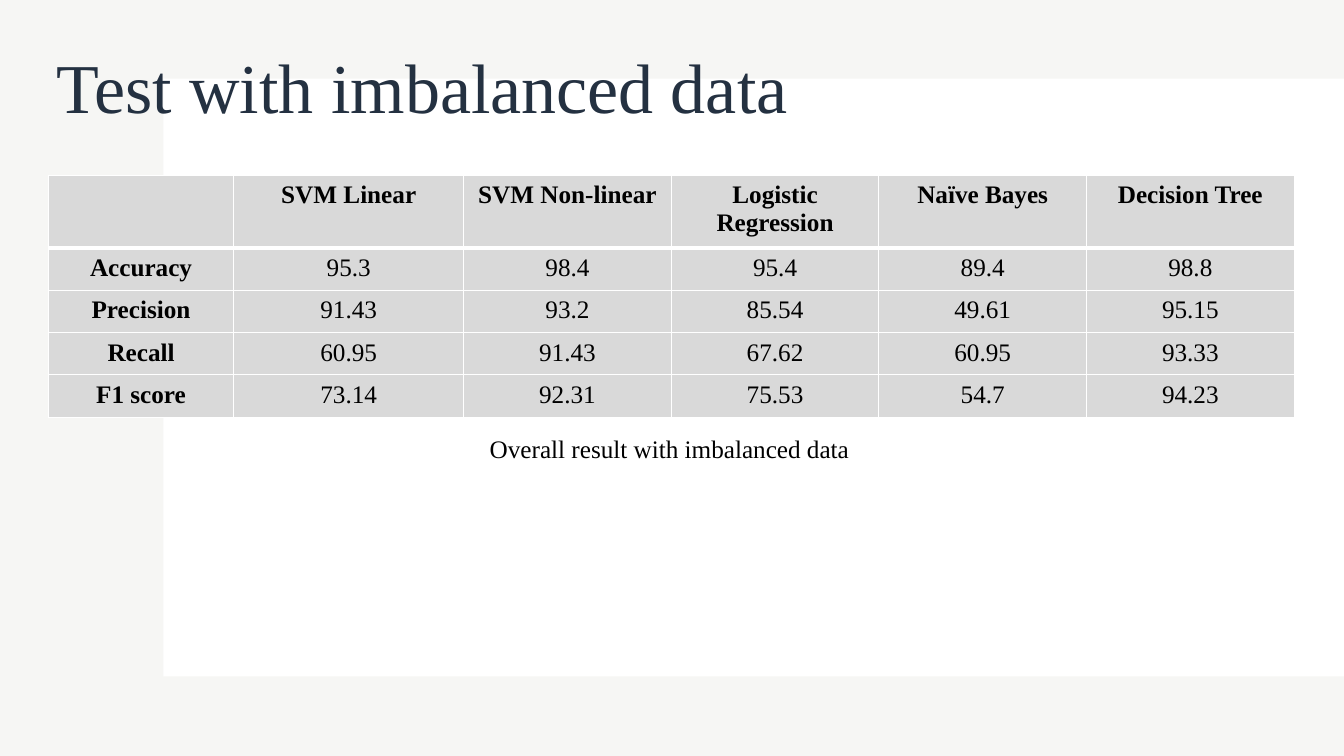
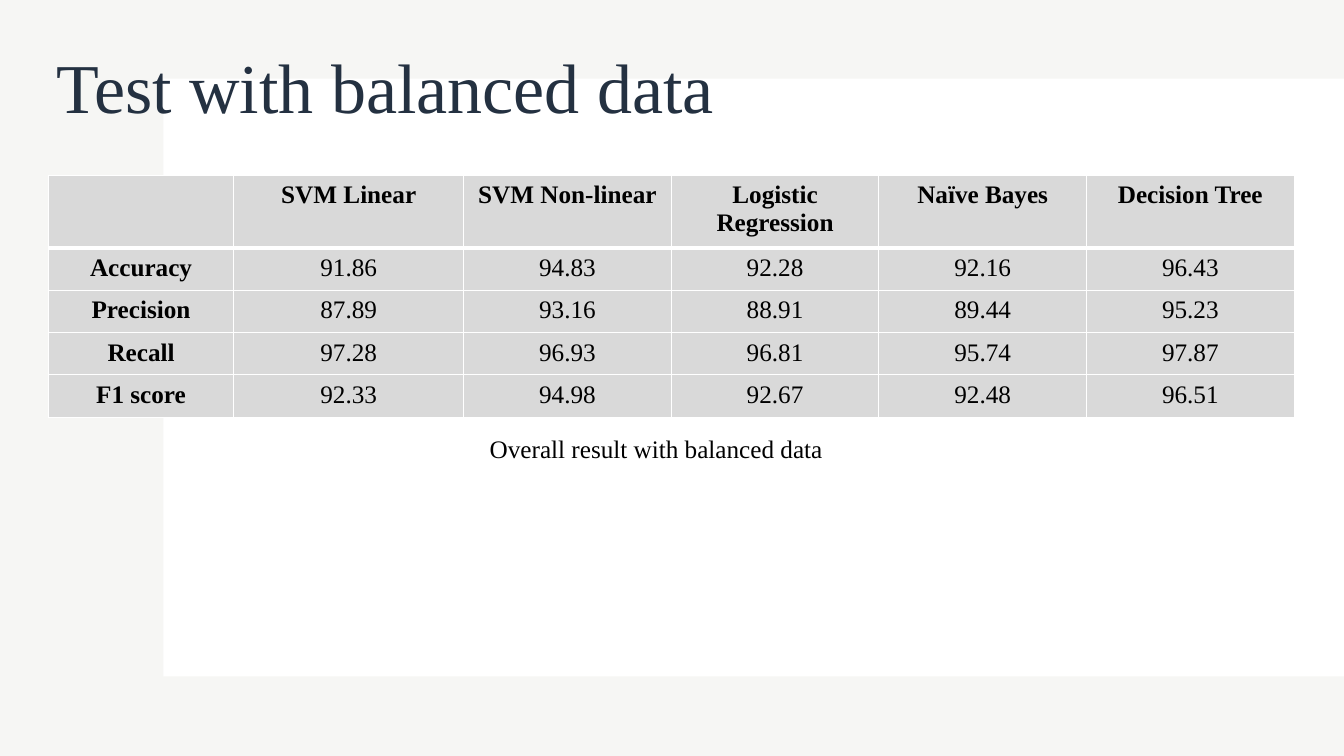
from dataclasses import dataclass

from lxml.etree import SubElement
from pptx import Presentation
from pptx.dml.color import RGBColor
from pptx.enum.shapes import MSO_SHAPE
from pptx.enum.text import MSO_ANCHOR, MSO_AUTO_SIZE, PP_ALIGN
from pptx.oxml.ns import qn
from pptx.shapes.autoshape import Shape
from pptx.slide import Slide, SlideLayout
from pptx.table import _Cell as Cell
from pptx.text.text import _Paragraph as Paragraph
from pptx.util import Pt

FONT = "Times New Roman"
WHITE = "FFFFFF"
BLACK = "000000"
TINT = "E6E8E2"
NAVY = "243141"
GRAY = "D9D9D9"

SLIDE_WIDTH, SLIDE_HEIGHT = 960, 540
COLUMN_WIDTHS = [132.48, 164.16] + [148.32] * 4
ROW_HEIGHTS = [51.84] + [30.24] * 4
MODELS = ["SVM Linear", "SVM Non-linear", "Logistic Regression", "Naïve Bayes", "Decision Tree"]
METRICS = ["Accuracy", "Precision", "Recall", "F1 score"]
THIN, THICK = 1, 3


@dataclass(frozen=True)
class Box:
    left: float
    top: float
    width: float
    height: float

    def lengths(self) -> tuple[Pt, Pt, Pt, Pt]:
        return Pt(self.left), Pt(self.top), Pt(self.width), Pt(self.height)


@dataclass(frozen=True)
class Panel:
    box: Box
    fill: str
    opacity: int


@dataclass(frozen=True)
class ResultSlide:
    title: str
    caption: str
    scores: list[list[str]]


TITLE_BOX = Box(33.12, 12.96, 830.16, 104.4)
TABLE_BOX = Box(34.56, 125.28, sum(COLUMN_WIDTHS), sum(ROW_HEIGHTS))
CAPTION_BOX = Box(342.72, 306, 274.32, 28.8)

PANELS = [
    Panel(Box(0, 0, SLIDE_WIDTH, SLIDE_HEIGHT), TINT, 35),
    Panel(Box(116.64, 56.16, 843.36, 426.96), WHITE, 100),
]

RESULTS = [
    ResultSlide(
        "Test with imbalanced data",
        "Overall result with imbalanced data",
        [
            ["95.3", "98.4", "95.4", "89.4", "98.8"],
            ["91.43", "93.2", "85.54", "49.61", "95.15"],
            ["60.95", "91.43", "67.62", "60.95", "93.33"],
            ["73.14", "92.31", "75.53", "54.7", "94.23"],
        ],
    ),
    ResultSlide(
        "Test with balanced data",
        "Overall result with balanced data",
        [
            ["91.86", "94.83", "92.28", "92.16", "96.43"],
            ["87.89", "93.16", "88.91", "89.44", "95.23"],
            ["97.28", "96.93", "96.81", "95.74", "97.87"],
            ["92.33", "94.98", "92.67", "92.48", "96.51"],
        ],
    ),
]


def color(value: str) -> RGBColor:
    return RGBColor.from_string(value)


def add_run(paragraph: Paragraph, text: str, size: float, text_color: str, bold: bool = False) -> None:
    run = paragraph.add_run()
    run.text = text
    run.font.name = FONT
    run.font.size = Pt(size)
    run.font.bold = bold
    run.font.color.rgb = color(text_color)


def add_panel(slide: Slide, panel: Panel) -> Shape:
    shape = slide.shapes.add_shape(MSO_SHAPE.RECTANGLE, *panel.box.lengths())
    shape.shadow.inherit = False
    shape.fill.solid()
    shape.fill.fore_color.rgb = color(panel.fill)
    shape.line.fill.background()
    if panel.opacity < 100:
        fill_color = next(shape.element.iter(qn("a:srgbClr")))
        SubElement(fill_color, qn("a:alpha"), val=str(panel.opacity * 1000))
    return shape


def prepare_layout(layout: SlideLayout) -> None:
    for placeholder in list(layout.placeholders):
        if placeholder.placeholder_format.idx == 0:
            placeholder.left, placeholder.top, placeholder.width, placeholder.height = TITLE_BOX.lengths()
        else:
            layout.shapes.element.remove(placeholder.element)


def move_panels_to_layout(slide: Slide, layout: SlideLayout) -> None:
    panels = [add_panel(slide, panel) for panel in PANELS]
    for position, shape in enumerate(panels, start=2):
        layout.shapes.element.insert(position, shape.element)


def set_title(slide: Slide, text: str) -> None:
    frame = slide.shapes.title.text_frame
    frame.auto_size = MSO_AUTO_SIZE.NONE
    frame.vertical_anchor = MSO_ANCHOR.MIDDLE
    paragraph = frame.paragraphs[0]
    paragraph.alignment = PP_ALIGN.LEFT
    paragraph.line_spacing = 0.9
    add_run(paragraph, text, 50, NAVY)


def set_borders(cell: Cell, top: float, bottom: float) -> None:
    properties = cell._tc.get_or_add_tcPr()
    for side, width in {"L": THIN, "R": THIN, "T": top, "B": bottom}.items():
        line = SubElement(properties, qn(f"a:ln{side}"), w=str(Pt(width)))
        fill = SubElement(line, qn("a:solidFill"))
        SubElement(fill, qn("a:srgbClr"), val=WHITE)


def format_cell(cell: Cell, text: str, row: int, column: int) -> None:
    set_borders(cell, THICK if row == 1 else THIN, THICK if row == 0 else THIN)
    cell.fill.solid()
    cell.fill.fore_color.rgb = color(GRAY)
    cell.margin_left = cell.margin_right = Pt(8.64)
    cell.margin_top = cell.margin_bottom = Pt(4.32)
    if text:
        paragraph = cell.text_frame.paragraphs[0]
        paragraph.alignment = PP_ALIGN.CENTER
        add_run(paragraph, text, 18, BLACK, bold=row == 0 or column == 0)


def add_score_table(slide: Slide, scores: list[list[str]]) -> None:
    rows = [["", *MODELS]] + [[metric, *values] for metric, values in zip(METRICS, scores)]
    table = slide.shapes.add_table(len(rows), len(COLUMN_WIDTHS), *TABLE_BOX.lengths()).table
    table.horz_banding = False
    for column, width in zip(table.columns, COLUMN_WIDTHS):
        column.width = Pt(width)
    for row, height in zip(table.rows, ROW_HEIGHTS):
        row.height = Pt(height)
    for row_index, values in enumerate(rows):
        for column_index, text in enumerate(values):
            format_cell(table.cell(row_index, column_index), text, row_index, column_index)


def add_caption(slide: Slide, text: str) -> None:
    frame = slide.shapes.add_textbox(*CAPTION_BOX.lengths()).text_frame
    frame.word_wrap = True
    frame.auto_size = MSO_AUTO_SIZE.SHAPE_TO_FIT_TEXT
    add_run(frame.paragraphs[0], text, 18, BLACK)


def main() -> None:
    presentation = Presentation()
    presentation.slide_width = Pt(SLIDE_WIDTH)
    presentation.slide_height = Pt(SLIDE_HEIGHT)
    layout = presentation.slide_layouts.get_by_name("Title Only")
    prepare_layout(layout)
    slides = [presentation.slides.add_slide(layout) for _ in RESULTS]
    move_panels_to_layout(slides[0], layout)
    for slide, result in zip(slides, RESULTS):
        set_title(slide, result.title)
        add_score_table(slide, result.scores)
        add_caption(slide, result.caption)
    presentation.save("out.pptx")


if __name__ == "__main__":
    main()
